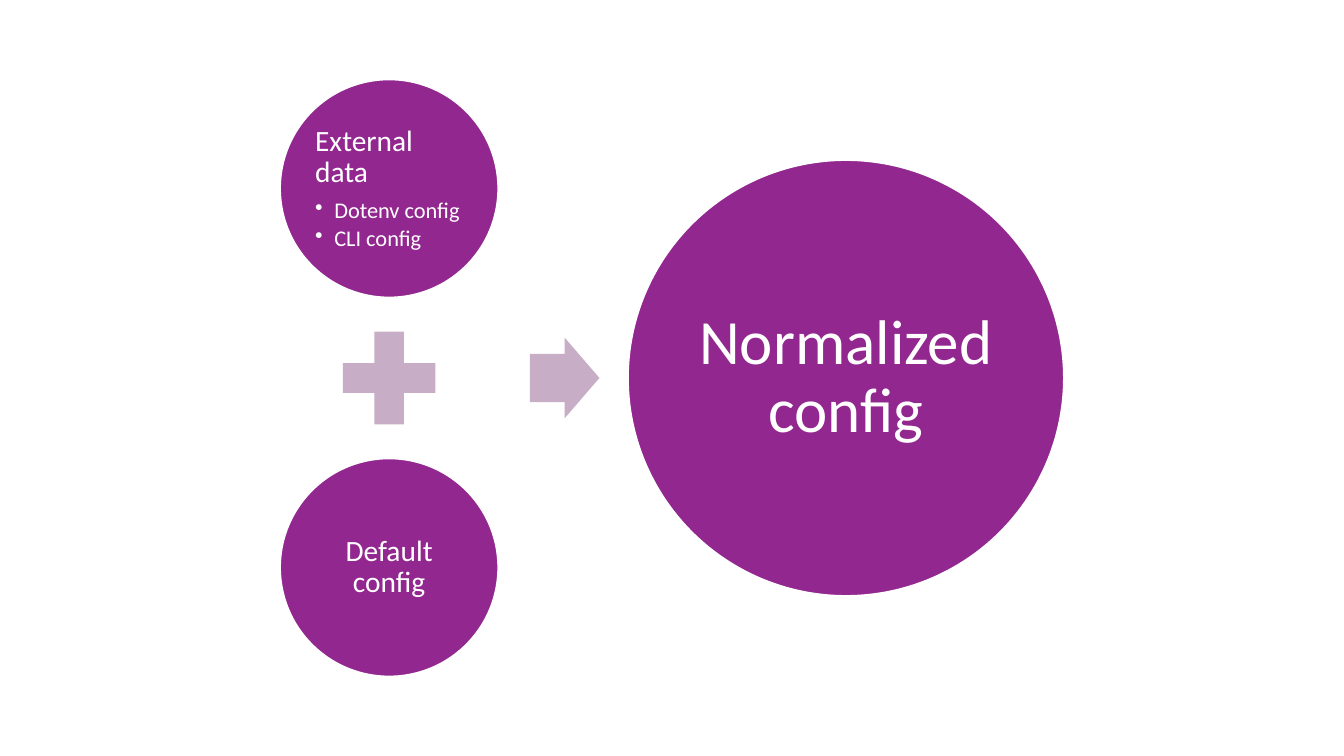
from pptx import Presentation
from pptx.dml.color import RGBColor
from pptx.enum.shapes import MSO_SHAPE as SHAPE
from pptx.enum.text import MSO_ANCHOR, PP_ALIGN
from pptx.oxml.ns import qn
from pptx.util import Inches, Pt
from lxml import etree

PURPLE, MAUVE, WHITE = "92278F", "C7ADC6", "FFFFFF"

# Content: title, title size, bullets, bullet size
EXTERNAL = ("External data", 21, ["Dotenv config", "CLI config"], 16)
DEFAULT = ("Default config", 21, [], 0)
RESULT = ("Normalized config", 45, [], 0)

# Layout: everything is centred on one horizontal axis
MID_Y = 3.75
COLUMN_X, GAP = 3.86, 0.175
SMALL, PLUS, BIG = 2.16, 1.25, 4.32
ARROW_X, ARROW_W, ARROW_H = 5.6, 0.69, 0.8
RESULT_X = 8.39
OFFSET = PLUS / 2 + GAP + SMALL / 2

prs = Presentation()
prs.slide_width, prs.slide_height = Inches(13.33), Inches(7.5)
s = prs.slides.add_slide(prs.slide_layouts[6])


def color(value):
    return RGBColor.from_string(value)


def add_centred(kind, x, y, w, h, fill):
    sp = s.shapes.add_shape(kind, Inches(x - w / 2), Inches(y - h / 2),
                            Inches(w), Inches(h))
    sp.shadow.inherit = False
    sp.fill.solid()
    sp.fill.fore_color.rgb = color(fill)
    sp.line.fill.background()
    return sp


def add_paragraph(p, text, size, align, after):
    for name, value in {"alignment": align, "line_spacing": 0.9,
                        "space_after": Pt(size * after)}.items():
        setattr(p, name, value)
    r = p.add_run()
    r.text = text
    for name, value in {"name": "Calibri", "size": Pt(size)}.items():
        setattr(r.font, name, value)
    r.font.color.rgb = color(WHITE)


def add_bullet(p):
    p.level = 1
    pPr = p._p.get_or_add_pPr()
    pPr.set("marL", str(Inches(0.19)))
    pPr.set("indent", str(-Inches(0.19)))
    etree.SubElement(pPr, qn("a:buChar")).set("char", "•")


def add_circle(x, y, size, inset, content):
    title, title_size, bullets, bullet_size = content
    sp = add_centred(SHAPE.OVAL, x, y, size, size, PURPLE)
    sp.line.color.rgb = color(WHITE)
    sp.line.width = Pt(1)
    tf = sp.text_frame
    tf.word_wrap = True
    tf.vertical_anchor = MSO_ANCHOR.MIDDLE
    for side in ("left", "top", "right", "bottom"):
        setattr(tf, f"margin_{side}", Inches(inset))
    align = PP_ALIGN.LEFT if bullets else PP_ALIGN.CENTER
    add_paragraph(tf.paragraphs[0], title, title_size, align, 0.35)
    for text in bullets:
        p = tf.add_paragraph()
        add_paragraph(p, text, bullet_size, align, 0.15)
        add_bullet(p)


# Inputs: two circles joined by a plus sign
add_circle(COLUMN_X, MID_Y - OFFSET, SMALL, 0.03, EXTERNAL)
add_centred(SHAPE.MATH_PLUS, COLUMN_X, MID_Y, PLUS, PLUS, MAUVE)
add_circle(COLUMN_X, MID_Y + OFFSET, SMALL, 0.03, DEFAULT)

# Arrow to the result
arrow = add_centred(SHAPE.RIGHT_ARROW, ARROW_X, MID_Y, ARROW_W, ARROW_H, MAUVE)
arrow.adjustments[0], arrow.adjustments[1] = 0.6, 0.5
add_circle(RESULT_X, MID_Y, BIG, 0.06, RESULT)

prs.save("out.pptx")
